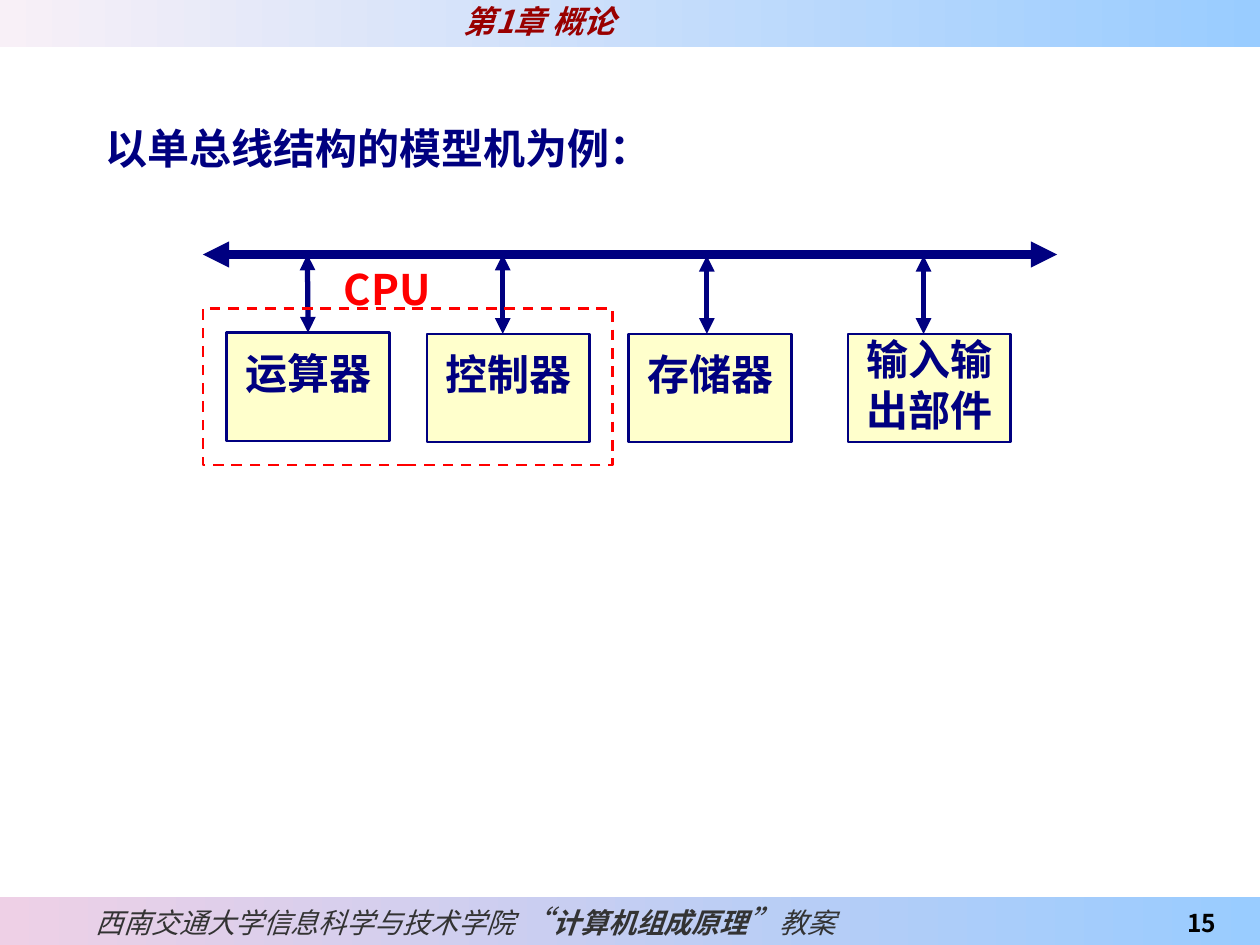
from lxml.etree import SubElement
from pptx import Presentation
from pptx.dml.color import RGBColor
from pptx.enum.dml import MSO_LINE
from pptx.enum.shapes import MSO_CONNECTOR, MSO_SHAPE
from pptx.enum.text import MSO_ANCHOR, PP_ALIGN
from pptx.oxml.ns import qn
from pptx.util import Inches, Pt

COLORS = {
    "navy": "000080", "red": "FF0000", "cream": "FFFFCC", "maroon": "990000",
    "gray": "333333", "black": "000000", "sky": "99CCFF", "pale": "F8F0F7",
    "pink": "EED0E6",
}
COLORS = {name: RGBColor.from_string(value) for name, value in COLORS.items()}
FONT = "Noto Sans CJK SC"


def write(shape, lines, size, color, align=PP_ALIGN.LEFT, anchor=MSO_ANCHOR.TOP,
          margins=(0.1, 0.05, 0.1, 0.05), bold=True, italic=False):
    """Fill a shape with paragraphs; margins are left, top, right, bottom in inches."""
    frame = shape.text_frame
    frame.word_wrap = True
    frame.vertical_anchor = anchor
    (frame.margin_left, frame.margin_top,
     frame.margin_right, frame.margin_bottom) = map(Inches, margins)
    frame.text = "\n".join(lines)
    for paragraph in frame.paragraphs:
        paragraph.alignment = align
        font = paragraph.font
        font.name, font.size, font.bold, font.italic = FONT, Pt(size), bold, italic
        font.color.rgb = COLORS[color]
        properties = paragraph._p.pPr.find(qn("a:defRPr"))
        SubElement(properties, qn("a:ea"), typeface=FONT)


def add_double_arrow(x1, y1, x2, y2, width):
    arrow = slide.shapes.add_connector(
        MSO_CONNECTOR.STRAIGHT, Inches(x1), Inches(y1), Inches(x2), Inches(y2))
    arrow.line.color.rgb = COLORS["navy"]
    arrow.line.width = Pt(width)
    for end in ("a:headEnd", "a:tailEnd"):
        SubElement(arrow.line._get_or_add_ln(), qn(end), type="triangle")
    SubElement(arrow._element.spPr, qn("a:effectLst"))
    return arrow


presentation = Presentation()
presentation.slide_width = Inches(10)
presentation.slide_height = Inches(7.5)
slide = presentation.slides.add_slide(presentation.slide_layouts[6])

# Header and footer bands
bands = []
for top, height, left_color in ((0, 0.37, "pale"), (7.12, 0.38, "pink")):
    band = slide.shapes.add_shape(
        MSO_SHAPE.RECTANGLE, 0, Inches(top), Inches(10), Inches(height))
    band.shadow.inherit = False
    band.line.fill.background()
    band.fill.gradient()
    band.fill.gradient_angle = 0
    for stop, color in zip(band.fill.gradient_stops, (left_color, "sky")):
        stop.color.rgb = COLORS[color]
    bands.append(band)
header, footer = bands

write(header, ["第1章 概论"], 18, "maroon", margins=(3.68, 0, 0.1, 0.03),
      anchor=MSO_ANCHOR.MIDDLE, italic=True)

write(footer, [""], 16, "gray", anchor=MSO_ANCHOR.MIDDLE,
      margins=(0.76, 0.05, 0.1, 0.05), bold=False, italic=True)
for text, size, bold in (("西南交通大学信息科学与技术学院 ", 16, False), ("“", 18, False),
                         ("计算机组成原理", 16, True), ("”", 18, False), ("教案", 16, False)):
    run = footer.text_frame.paragraphs[0].add_run()
    run.text = text
    run.font.size, run.font.bold = Pt(size), bold

page_number = slide.shapes.add_textbox(Inches(8.67), Inches(7.11), Inches(1.08), Inches(0.38))
write(page_number, ["15"], 14, "black", PP_ALIGN.RIGHT, MSO_ANCHOR.BOTTOM, (0.1, 0, 0.1, 0.05))

title = slide.shapes.add_textbox(Inches(0.74), Inches(0.92), Inches(9.26), Inches(0.5))
write(title, ["以单总线结构的模型机为例："], 24, "navy")

# Single bus and the units attached to it
add_double_arrow(1.61, 2.02, 8.39, 2.02, 5)
units = (
    (1.8, 2.64, 2.44, 2.02, 0.12, ["运算器"]),
    (3.39, 2.65, 3.99, 2.02, 0.12, ["控制器"]),
    (4.99, 2.65, 5.61, 2.03, 0.12, ["存储器"]),
    (6.73, 2.65, 7.33, 2.03, 0, ["输入输", "出部件"]),
)
for left, top, arrow_x, arrow_top, margin_top, lines in units:
    unit = slide.shapes.add_shape(
        MSO_SHAPE.RECTANGLE, Inches(left), Inches(top), Inches(1.29), Inches(0.86))
    unit.shadow.inherit = False
    unit.fill.solid()
    unit.fill.fore_color.rgb = COLORS["cream"]
    unit.line.color.rgb = COLORS["navy"]
    unit.line.width = Pt(1.5)
    write(unit, lines, 24, "navy", PP_ALIGN.CENTER, margins=(0, margin_top, 0, 0))
    arrow = add_double_arrow(arrow_x, top, arrow_x, arrow_top, 3)
    if abs(left + 1.29 / 2 - arrow_x) < 0.01:
        arrow.begin_connect(unit, 0)

# CPU boundary
cpu_frame = slide.shapes.add_shape(
    MSO_SHAPE.RECTANGLE, Inches(1.61), Inches(2.45), Inches(3.25), Inches(1.24))
cpu_frame.shadow.inherit = False
cpu_frame.fill.background()
cpu_frame.line.color.rgb = COLORS["red"]
cpu_frame.line.width = Pt(1.5)
cpu_frame.line.dash_style = MSO_LINE.DASH

cpu_label = slide.shapes.add_textbox(Inches(2.63), Inches(2.04), Inches(1.12), Inches(0.49))
write(cpu_label, ["CPU"], 24, "red")

presentation.save("out.pptx")
